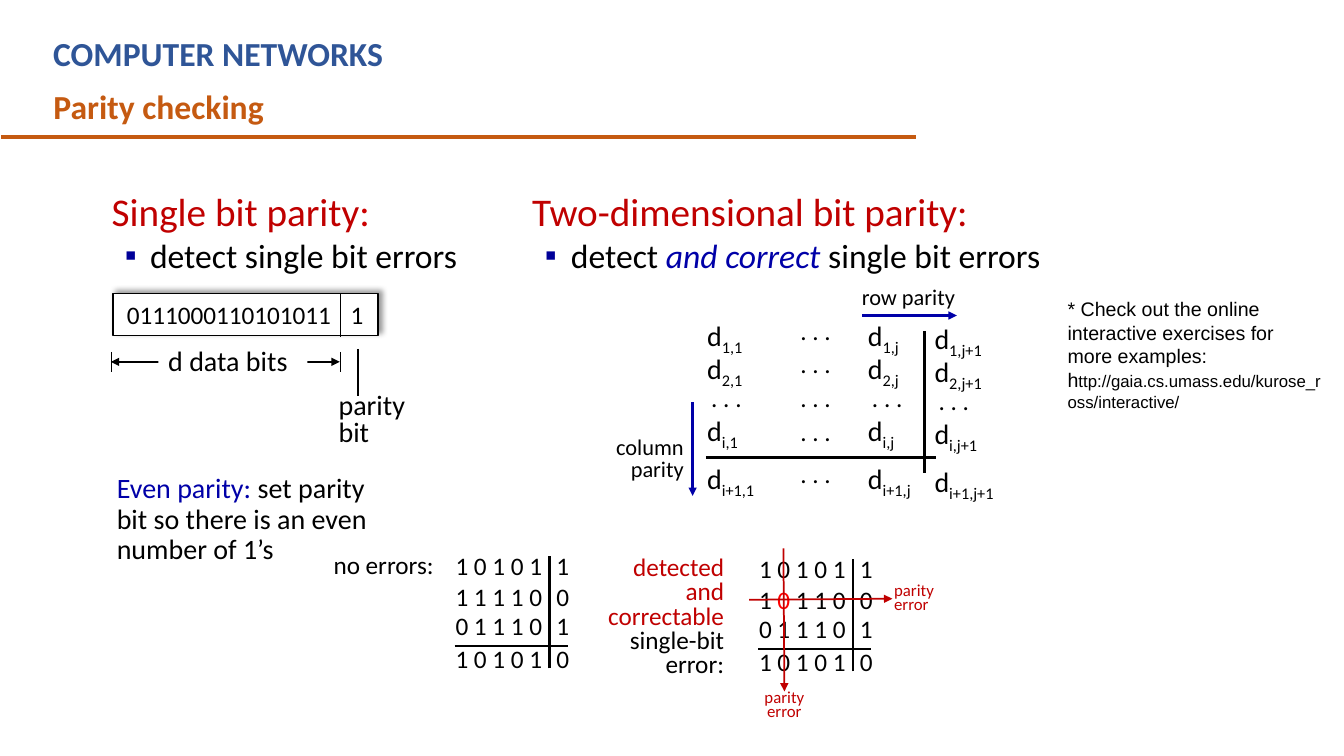
from dataclasses import dataclass
from typing import Optional

import pptx
import pptx.dml.color
import pptx.enum.shapes
import pptx.enum.text
import pptx.oxml
import pptx.oxml.ns
import pptx.util

# Square grid: ten cells to the inch
COLS, ROWS, CELLS_PER_INCH = 133.3, 75, 10
BLACK, WHITE, RED, BLUE, ORANGE = "000000", "FFFFFF", "C00000", "0000A8", "C55A11"
LEFT, CENTER, RIGHT = (pptx.enum.text.PP_ALIGN.LEFT, pptx.enum.text.PP_ALIGN.CENTER,
                       pptx.enum.text.PP_ALIGN.RIGHT)


@dataclass
class Run:
    text: str
    size: float = 18
    color: str = BLACK
    bold: bool = False
    italic: bool = False
    font: str = "Calibri"
    subscript: bool = False


@dataclass
class Para:
    runs: list[Run]
    align: int = LEFT
    spacing: Optional[float] = None
    margin: float = 0
    indent: float = 0
    bullet: str = ""
    tab: float = 0


@dataclass
class Label:
    x: float
    y: float
    w: float
    h: float
    paras: list[Para]
    wrap: bool = False
    fill: str = ""


@dataclass
class Line:
    x1: float
    y1: float
    x2: float
    y2: float
    width: float = 1
    color: str = BLACK
    head: bool = False
    tail: bool = False


def grid(cells: float) -> int:
    return pptx.util.Inches(cells / CELLS_PER_INCH)


def rgb(color: str) -> pptx.dml.color.RGBColor:
    return pptx.dml.color.RGBColor.from_string(color)


def xml(markup: str):
    name, rest = markup[1:].split(" ", 1)
    return pptx.oxml.parse_xml(f"<a:{name} {pptx.oxml.ns.nsdecls('a')} {rest}")


def lines_of(*texts: str, size: float = 18, color: str = BLACK, align: int = LEFT,
             spacing: Optional[float] = None) -> list[Para]:
    return [Para([Run(t, size, color)], align, spacing) for t in texts]


def draw_label(s, label: Label) -> None:
    box = [grid(v) for v in (label.x, label.y, label.w, label.h)]
    sp = s.shapes.add_textbox(*box)
    if label.fill:
        sp.fill.solid()
        sp.fill.fore_color.rgb = rgb(label.fill)
    tf = sp.text_frame
    tf.word_wrap = label.wrap
    tf.auto_size = pptx.enum.text.MSO_AUTO_SIZE.SHAPE_TO_FIT_TEXT
    for i, para in enumerate(label.paras):
        p = tf.paragraphs[0] if i == 0 else tf.add_paragraph()
        pPr = p._p.get_or_add_pPr()
        pPr.set("marL", str(grid(para.margin)))
        pPr.set("indent", str(grid(para.indent)))
        if para.bullet:
            pPr.append(xml('<buClr ><a:srgbClr val="000099"/></a:buClr>'))
            pPr.append(xml('<buFont typeface="Arial"/>'))
            pPr.append(xml(f'<buChar char="{para.bullet}"/>'))
        if para.tab:
            pPr.append(xml(f'<tabLst ><a:tab pos="{grid(para.tab)}" algn="l"/></a:tabLst>'))
        p.alignment = para.align
        if para.spacing:
            p.line_spacing = para.spacing
        for run in para.runs:
            r = p.add_run()
            r.text = run.text
            r.font.name, r.font.size = run.font, pptx.util.Pt(run.size)
            r.font.bold, r.font.italic = run.bold, run.italic
            r.font.color.rgb = rgb(run.color)
            if run.subscript:
                r._r.get_or_add_rPr().set("baseline", "-25000")


def draw_line(s, line: Line) -> None:
    ends = [grid(v) for v in (line.x1, line.y1, line.x2, line.y2)]
    c = s.shapes.add_connector(pptx.enum.shapes.MSO_CONNECTOR.STRAIGHT, *ends)
    c.line.width = pptx.util.Pt(line.width)
    c.line.color.rgb = rgb(line.color)
    for end, shown in (("headEnd", line.head), ("tailEnd", line.tail)):
        if shown:
            c.line._get_or_add_ln().append(xml(f'<{end} type="triangle"/>'))
    c._element.spPr.append(xml("<effectLst />"))


def draw_bit_frame(s) -> None:
    box = [grid(v) for v in (11.2, 29.1, 26.3, 4.2)]
    sp = s.shapes.add_shape(pptx.enum.shapes.MSO_SHAPE.RECTANGLE, *box)
    sp.fill.solid()
    sp.fill.fore_color.rgb = rgb(WHITE)
    sp.line.color.rgb = rgb(BLACK)
    sp.line.width = pptx.util.Pt(1)
    sp._element.spPr.append(xml(
        '<effectLst ><a:outerShdw blurRad="50800" dist="38100" dir="18900000">'
        '<a:srgbClr val="000000"><a:alpha val="40000"/></a:srgbClr>'
        '</a:outerShdw></a:effectLst>'))


def draw_parity_grid(s) -> None:
    # Row subscript, top of its entries, top of its middle dots
    rows = [("1", 31.1, 30.8), ("2", 34.4, 34.1), ("", 37.4, 37.4),
            ("i", 40.5, 40.8), ("i+1", 45.3, 45)]
    columns = [("1", 69.15, 0), ("j", 85.1, 0), ("j+1", 91.7, 0.3)]
    for row, top, dots_top in rows:
        draw_label(s, Label(78.4, dots_top, 6.9, 4, lines_of(". . ."), True))
        for column, x, drop in columns:
            if row:
                entry = [Run("d", 20), Run(f"{row},{column}", 20, subscript=True)]
                draw_label(s, Label(x, top + drop, 8.5, 4.4, [Para(entry)], True))
            else:
                draw_label(s, Label(x + 0.4, top + drop, 6.9, 4, lines_of(". . ."), True))
    draw_line(s, Line(70, 45.4, 92.8, 45.4, 2))
    draw_line(s, Line(91.7, 46.9, 91.7, 32.8, 2))


def draw_bits(s, x: float, y: float, second_row: list[Run]) -> None:
    rows = [[Run("1 0 1 0 1\t1")], second_row, [Run("0 1 1 1 0\t1")], [Run("1 0 1 0 1\t0")]]
    for runs, drop in zip(rows, (0, 3.05, 6, 9.2)):
        draw_label(s, Label(x, y + drop, 15, 4, [Para(runs, tab=9.8)], True))
    draw_line(s, Line(x + 0.9, y + 10, x + 12.1, y + 10, 1.5))
    draw_line(s, Line(x + 10.3, y + 12.2, x + 10.3, y + 1.1, 1.5))


def main() -> None:
    prs = pptx.Presentation()
    prs.slide_width, prs.slide_height = grid(COLS), grid(ROWS)
    s = prs.slides.add_slide(prs.slide_layouts[6])

    # Title
    draw_label(s, Label(4.3, 2.8, 82, 5,
                        [Para([Run("COMPUTER NETWORKS", 24, "2F5597", True)])], True))
    draw_label(s, Label(4.3, 8, 23.8, 5, [Para([Run("Parity checking", 24, ORANGE, True)])]))
    draw_line(s, Line(0.1, 13.6, 90.9, 13.6, 3, ORANGE))

    # Single bit parity
    draw_label(s, Label(10.1, 18.1, 36.8, 9.8, [
        Para([Run("Single bit parity", 28, RED), Run(":", 28, "CC0000")]),
        Para([Run("detect single bit errors", 24)], margin=3.8, indent=-2.5, bullet="▪")], True))
    draw_bit_frame(s)
    draw_label(s, Label(11.6, 29.2, 22.5, 4, lines_of("0111000110101011")))
    draw_label(s, Label(33.8, 29.2, 3.3, 4, lines_of("1")))
    draw_line(s, Line(11, 35.9, 33.7, 35.9, 1.75, head=True, tail=True))
    for x in (11, 33.8):
        draw_line(s, Line(x, 34.9, x, 36.9, 0.5))
    draw_label(s, Label(32.6, 38.6, 14.8, 6.5,
                        lines_of("parity", "bit", size=20, spacing=0.8), True, WHITE))
    draw_line(s, Line(35.5, 34.6, 35.5, 39.3))
    draw_line(s, Line(33.8, 29.2, 33.8, 33.4))
    draw_label(s, Label(15.7, 34.2, 14.8, 3.8,
                        lines_of("d data bits", size=20, spacing=0.8), True, WHITE))
    draw_label(s, Label(10.6, 46.6, 29.9, 10.1, [Para([
        Run("Even parity: ", 20, BLUE),
        Run("set parity bit so there is an even number of 1’s", 20)], spacing=0.9)], True))

    # Two-dimensional bit parity
    draw_label(s, Label(51.8, 18.1, 53.7, 9.8, [
        Para([Run("Two-dimensional bit parity:", 28, RED)]),
        Para([Run("detect ", 24), Run("and correct ", 24, BLUE, italic=True),
              Run("single bit errors", 24)], margin=3.85, indent=-2.6, bullet="▪")], True))
    draw_parity_grid(s)
    draw_label(s, Label(84.5, 27.6, 11.4, 3.7, lines_of("row parity", size=16)))
    draw_label(s, Label(60, 43, 8.8, 5.4, lines_of("column", "parity", size=16,
                                                  align=RIGHT, spacing=0.8)))
    draw_line(s, Line(85.5, 31.3, 94.9, 31.3, 1.75, BLUE, tail=True))
    draw_line(s, Line(68.7, 39.9, 68.7, 49.2, 1.75, BLUE, tail=True))

    # Worked examples
    draw_label(s, Label(32.1, 54, 12.1, 4, lines_of("no errors:")))
    draw_bits(s, 44.2, 54.1, [Run("1 1 1 1 0\t0")])
    draw_bits(s, 74.3, 54.4, [Run("1 "), Run("0", color="FF0000"), Run(" 1 1 0\t0")])
    for x, y, align in ((74.8, 68.2, CENTER), (87.7, 57.6, LEFT)):
        draw_label(s, Label(x, y, 6, 3.9, lines_of("parity", "error", size=12, color=RED,
                                                  align=align, spacing=0.7)))
    draw_line(s, Line(74.3, 59.5, 88.5, 59.4, 1.25, RED, tail=True))
    draw_line(s, Line(77.7, 54.4, 77.8, 68.6, 1.25, RED, tail=True))
    verdict = lines_of("detected", "and", "correctable", color=RED, align=RIGHT, spacing=0.8)
    verdict += lines_of("single-bit", "error:", align=RIGHT, spacing=0.8)
    draw_label(s, Label(57.4, 54.8, 15.4, 13.2, verdict, True))

    # Exercise link
    draw_label(s, Label(104.9, 29, 27.4, 12.5, [Para([
        Run("* Check out the online interactive exercises for more examples: h", 14, font="Arial"),
        Run("ttp://gaia.cs.umass.edu/kurose_ross/interactive/", 12, font="Arial")])], True))

    prs.save("out.pptx")


if __name__ == "__main__":
    main()
